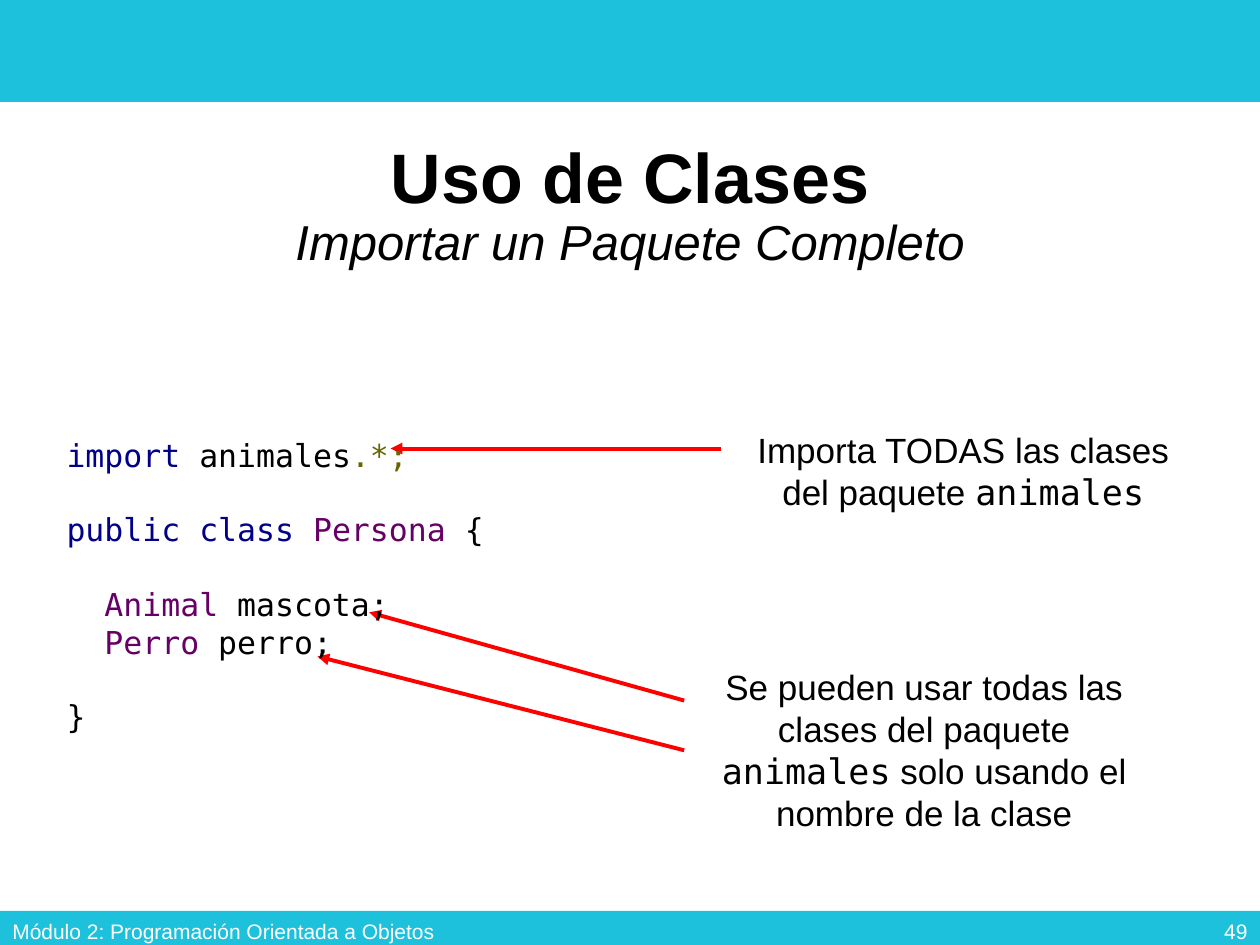
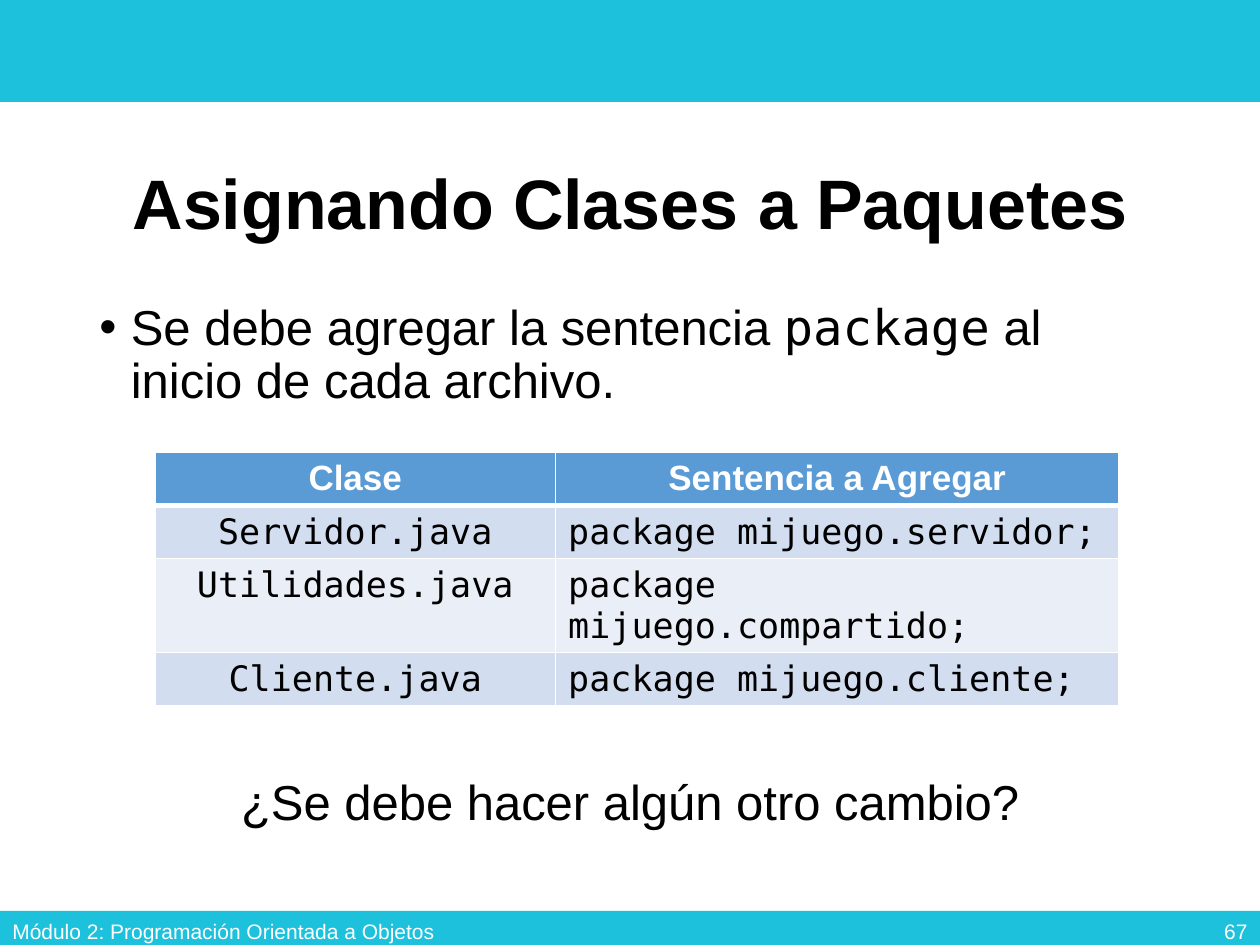
from lxml.etree import SubElement
from pptx import Presentation
from pptx.dml.color import RGBColor
from pptx.enum.shapes import MSO_CONNECTOR as Connector, MSO_SHAPE as Shape
from pptx.enum.text import MSO_ANCHOR as Anchor, MSO_AUTO_SIZE as AutoSize, PP_ALIGN as Align
from pptx.oxml import parse_xml
from pptx.oxml.ns import nsdecls, qn
from pptx.util import Inches, Pt

COLORS = {
    "band": "1DC1DC", "white": "FFFFFF", "text": "000000", "arrow": "FF0000",
    "keyword": "000088", "type": "660066", "symbol": "666600",
    "header": "5B9BD5", "odd row": "D2DEEF", "even row": "EAEFF7",
}
SANS, MONO = "Arial", "DejaVu Sans Mono"
COLUMNS, ROWS = 100, 75
LEFT, CONTENT_WIDTH = 6.9, 86.2
FOOTER = "Módulo 2: Programación Orientada a Objetos"
CODE_LINE = Pt(21)


def color(name):
    return RGBColor.from_string(COLORS[name])


def apply(target, values):
    for name, value in values.items():
        setattr(target, name, value)


class Deck:
    """Holds the shared style and the current slide; places are grid columns and rows."""

    def __init__(self):
        self.presentation = Presentation()
        apply(self.presentation, {"slide_width": Inches(10), "slide_height": Inches(7.5)})
        self.column = self.presentation.slide_width / COLUMNS
        self.row = self.presentation.slide_height / ROWS
        self.slide = None

    def place(self, left, top, width, height):
        return [round(value * unit) for value, unit in
                zip((left, top, width, height), (self.column, self.row) * 2)]

    def new_slide(self, number, *title_lines):
        self.slide = self.presentation.slides.add_slide(self.presentation.slide_layouts[5])
        self.band(0, 8.1)
        self.band(72.3, 2.7)
        self.title(title_lines)
        footer = {"size": 12, "ink": "white", "anchor": Anchor.MIDDLE}
        self.text((0, 71.9, 37.3, 4), [[(FOOTER, {})]], **footer)
        self.text((77.5, 71.9, 22.5, 4), [[(number, {})]], align=Align.RIGHT, **footer)

    def band(self, top, height):
        shape = self.slide.shapes.add_shape(Shape.RECTANGLE, *self.place(0, top, COLUMNS, height))
        shape.shadow.inherit = False
        shape.fill.solid()
        shape.fill.fore_color.rgb = color("band")
        shape.line.fill.background()

    def title(self, lines):
        title = self.slide.shapes.title
        places = self.place(LEFT, 9.8, CONTENT_WIDTH, 13.3)
        apply(title, dict(zip(("left", "top", "width", "height"), places)))
        self.fill_frame(title.text_frame, [[line] for line in lines], size=40,
                        align=Align.CENTER, anchor=Anchor.MIDDLE, spacing=0.9)

    def text(self, box, paragraphs, **style):
        shape = self.slide.shapes.add_textbox(*self.place(*box))
        self.fill_frame(shape.text_frame, paragraphs, **style)
        return shape

    def fill_frame(self, frame, paragraphs, anchor=Anchor.TOP, gaps=(), **style):
        """Fill a frame; gaps holds the indexes of paragraphs that follow an open line."""
        apply(frame, {"word_wrap": True, "auto_size": AutoSize.NONE, "vertical_anchor": anchor})
        for index, runs in enumerate(paragraphs):
            paragraph = frame.add_paragraph() if index else frame.paragraphs[0]
            self.paragraph(paragraph, runs, **style)
            if index in gaps:
                paragraph.space_before = CODE_LINE

    def paragraph(self, paragraph, runs, size=20, ink="text", font=SANS,
                  align=Align.LEFT, spacing=None, bullet=False):
        apply(paragraph, {"alignment": align, "line_spacing": spacing})
        if bullet:
            properties = paragraph._p.get_or_add_pPr()
            properties.set("marL", str(Inches(0.25)))
            properties.set("indent", str(-Inches(0.25)))
            SubElement(properties, qn("a:buFont"), typeface=SANS)
            SubElement(properties, qn("a:buChar"), char="•")
        for words, changes in runs:
            run = paragraph.add_run()
            run.text = words
            values = {"name": font, "size": Pt(size), **changes}
            run.font.color.rgb = color(values.pop("ink", ink))
            apply(run.font, values)

    def arrow(self, start, end, source=None):
        """Draw an arrow, joined to the left side of source if one is given."""
        begin_x, begin_y, end_x, end_y = self.place(*start, *end)
        arrow = self.slide.shapes.add_connector(Connector.STRAIGHT, begin_x, begin_y, end_x, end_y)
        if source is not None:
            arrow.begin_connect(source, 1)
        arrow.line.color.rgb = color("arrow")
        arrow.line.width = Pt(2.25)
        SubElement(arrow.line._get_or_add_ln(), qn("a:tailEnd"), type="triangle")
        SubElement(arrow._element.spPr, qn("a:effectLst"))

    def table(self, left, top, widths, heights, rows):
        box = self.place(left, top, sum(widths), sum(heights))
        table = self.slide.shapes.add_table(len(rows), len(widths), *box).table
        for column, width in zip(table.columns, widths):
            column.width = round(width * self.column)
        for row, height in zip(table.rows, heights):
            row.height = round(height * self.row)
        for row_index, row in enumerate(rows):
            for column_index, words in enumerate(row):
                self.cell(table.cell(row_index, column_index), words, row_index, column_index)

    def cell(self, cell, words, row, column):
        header = row == 0
        fill = "header" if header else "odd row" if row % 2 else "even row"
        cell.fill.solid()
        cell.fill.fore_color.rgb = color(fill)
        self.paragraph(cell.text_frame.paragraphs[0], [(words, {"bold": header})],
                       ink="white" if header else "text", font=SANS if header else MONO,
                       align=Align.CENTER if header or column == 0 else Align.LEFT)
        widths = {"L": 1, "R": 1, "T": 3 if row == 1 else 1, "B": 3 if header else 1}
        for index, (side, width) in enumerate(widths.items()):
            border = parse_xml(
                f'<a:ln{side} {nsdecls("a")} w="{Pt(width)}"><a:solidFill>'
                f'<a:srgbClr val="{COLORS["white"]}"/></a:solidFill></a:ln{side}>')
            cell._tc.get_or_add_tcPr().insert(index, border)


def import_slide(deck):
    deck.new_slide("49", ("Uso de Clases", {"bold": True}),
                   ("Importar un Paquete Completo", {"size": Pt(28), "italic": True}))
    package_name = ("animales", {"name": MONO})
    deck.text((57.4, 33.5, 38.1, 7.7),
              [[("Importa TODAS las clases del paquete ", {}), package_name]],
              align=Align.CENTER)
    usage_note = deck.text(
        (54.3, 52.3, 38.1, 14.5),
        [[("Se pueden usar todas las clases del paquete ", {}), package_name,
          (" solo usando el nombre de la clase", {})]], align=Align.CENTER)
    deck.arrow((57.2, 35.6), (31, 35.6))
    deck.arrow((54.3, 55.6), (29.3, 48.6))
    deck.arrow((54.3, 59.5), (25.2, 52.1), usage_note)

    keyword, type_name, symbol = ({"ink": name} for name in ("keyword", "type", "symbol"))
    code = [
        [("import", keyword), (" animales", {}), (".*;", symbol)],
        [("public class ", keyword), ("Persona", type_name), (" {", {})],
        [("  Animal", type_name), (" mascota;", {})],
        [("  Perro ", type_name), ("perro;", {})],
        [("}", {})],
    ]
    deck.text((4.3, 34.1, 50, 25.2), code, size=18, font=MONO, gaps=(1, 2, 4))


def package_slide(deck):
    deck.new_slide("67", ("Asignando Clases a Paquetes", {"bold": True}))
    body = {"size": 28, "spacing": 0.9}
    deck.text((LEFT, 23.6, CONTENT_WIDTH, 10),
              [[("Se debe agregar la sentencia ", {}), ("package", {"name": MONO}),
                (" al inicio de cada archivo.", {})]], bullet=True, **body)
    deck.table(12.3, 35.9, (31.8, 44.7), (4.2, 4.1, 4.1, 4.1), [
        ("Clase", "Sentencia a Agregar"),
        ("Servidor.java", "package mijuego.servidor;"),
        ("Utilidades.java", "package mijuego.compartido;"),
        ("Cliente.java", "package mijuego.cliente;"),
    ])
    deck.text((LEFT, 61.3, CONTENT_WIDTH, 6),
              [[("¿Se debe hacer algún otro cambio?", {})]], align=Align.CENTER, **body)


def main():
    deck = Deck()
    import_slide(deck)
    package_slide(deck)
    deck.presentation.save("out.pptx")


if __name__ == "__main__":
    main()
